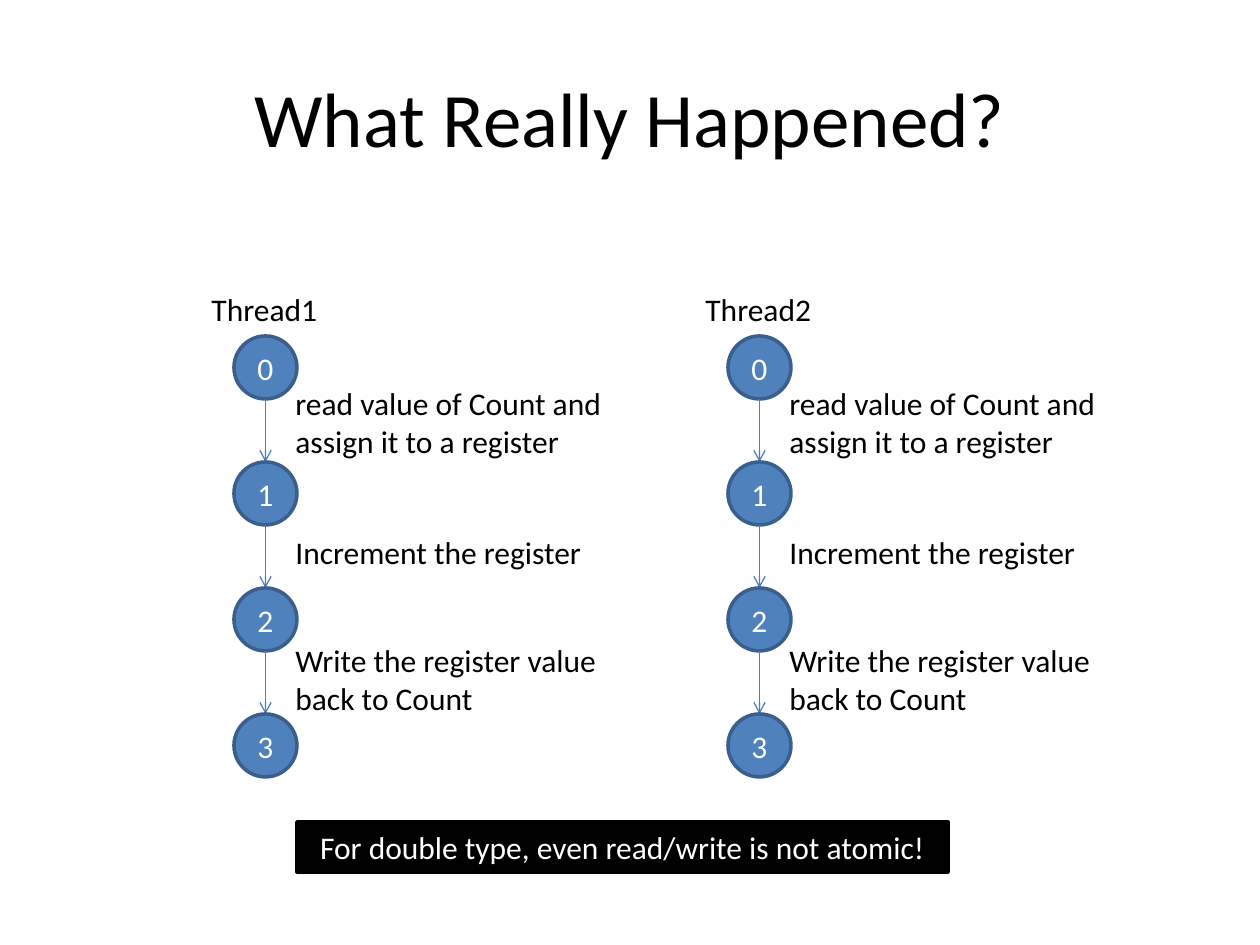
from dataclasses import dataclass

from lxml.etree import SubElement
from pptx import Presentation
from pptx.dml.color import RGBColor
from pptx.enum.shapes import MSO_CONNECTOR, MSO_SHAPE
from pptx.enum.text import MSO_ANCHOR, MSO_AUTO_SIZE, PP_ALIGN
from pptx.oxml.ns import qn
from pptx.util import Emu, Pt

PIXELS_PER_INCH = 126


@dataclass(frozen=True)
class Theme:
    font: str = "Calibri"
    title_size: float = 44
    body_size: float = 18
    outline: float = 2
    arrow_width: float = 0.75
    black: RGBColor = RGBColor(0x00, 0x00, 0x00)
    white: RGBColor = RGBColor(0xFF, 0xFF, 0xFF)
    node_fill: RGBColor = RGBColor(0x4F, 0x81, 0xBD)
    node_line: RGBColor = RGBColor(0x3A, 0x5F, 0x8C)
    arrow: RGBColor = RGBColor(0x4B, 0x7E, 0xBC)


THEME = Theme()


def px(*lengths):
    return [Emu(round(length * 914400 / PIXELS_PER_INCH)) for length in lengths]


def write(shape, text, color, size=THEME.body_size, align=PP_ALIGN.LEFT,
          anchor=MSO_ANCHOR.TOP, wrap=True, auto_size=MSO_AUTO_SIZE.NONE):
    frame = shape.text_frame
    frame.text = text
    frame.word_wrap = wrap
    frame.auto_size = auto_size
    frame.vertical_anchor = anchor
    paragraph = frame.paragraphs[0]
    paragraph.alignment = align
    paragraph.font.name = THEME.font
    paragraph.font.size = Pt(size)
    paragraph.font.color.rgb = color


def add_title(slide, box, text):
    title = slide.shapes.title
    title.left, title.top, title.width, title.height = px(*box)
    write(title, text, THEME.black, THEME.title_size, PP_ALIGN.CENTER, MSO_ANCHOR.MIDDLE)


def add_label(slide, box, text, wrap=True):
    label = slide.shapes.add_textbox(*px(*box))
    write(label, text, THEME.black, wrap=wrap, auto_size=MSO_AUTO_SIZE.SHAPE_TO_FIT_TEXT)


def add_filled(slide, kind, box, fill, line, text, **options):
    shape = slide.shapes.add_shape(kind, *px(*box))
    shape.shadow.inherit = False
    shape.fill.solid()
    shape.fill.fore_color.rgb = fill
    shape.line.color.rgb = line
    shape.line.width = Pt(THEME.outline)
    write(shape, text, THEME.white, align=PP_ALIGN.CENTER, **options)


def add_arrow(slide, x, top, bottom):
    arrow = slide.shapes.add_connector(MSO_CONNECTOR.STRAIGHT, *px(x, top, x, bottom))
    arrow.line.color.rgb = THEME.arrow
    arrow.line.width = Pt(THEME.arrow_width)
    SubElement(arrow.line._get_or_add_ln(), qn("a:tailEnd"), type="arrow")
    SubElement(arrow._element.spPr, qn("a:effectLst"))


def add_thread(slide, left, top, name, steps):
    node_size, pitch, node_left, node_top = 63, 126, 35, 52
    center = left + node_left + node_size / 2
    add_label(slide, (left, top, 132, 50), name, wrap=False)
    for index in range(len(steps) + 1):
        y = top + node_top + index * pitch
        if index:
            add_arrow(slide, center, y - pitch + node_size, y)
        add_filled(slide, MSO_SHAPE.OVAL, (left + node_left, y, node_size, node_size),
                   THEME.node_fill, THEME.node_line, str(index), anchor=MSO_ANCHOR.MIDDLE)
    for text, offset, height in steps:
        add_label(slide, (left + 84, top + offset, 336, height), text)


def add_banner(slide, box, text):
    add_filled(slide, MSO_SHAPE.RECTANGLE, box, THEME.black, THEME.black, text,
               auto_size=MSO_AUTO_SIZE.SHAPE_TO_FIT_TEXT)


STEPS = [
    ("read value of Count and assign it to a register", 94, 89),
    ("Increment the register", 243, 50),
    ("Write the register value back to Count", 351, 89),
]

presentation = Presentation()
presentation.slide_width, presentation.slide_height = px(1260, 945)
slide = presentation.slides.add_slide(presentation.slide_layouts[5])
add_title(slide, (63, 38, 1134, 157), "What Really Happened?")
for thread_name, thread_left in (("Thread1", 199), ("Thread2", 693)):
    add_thread(slide, thread_left, 284, thread_name, STEPS)
add_banner(slide, (297, 822, 651, 50), "For double type, even read/write is not atomic!")
presentation.save("out.pptx")
